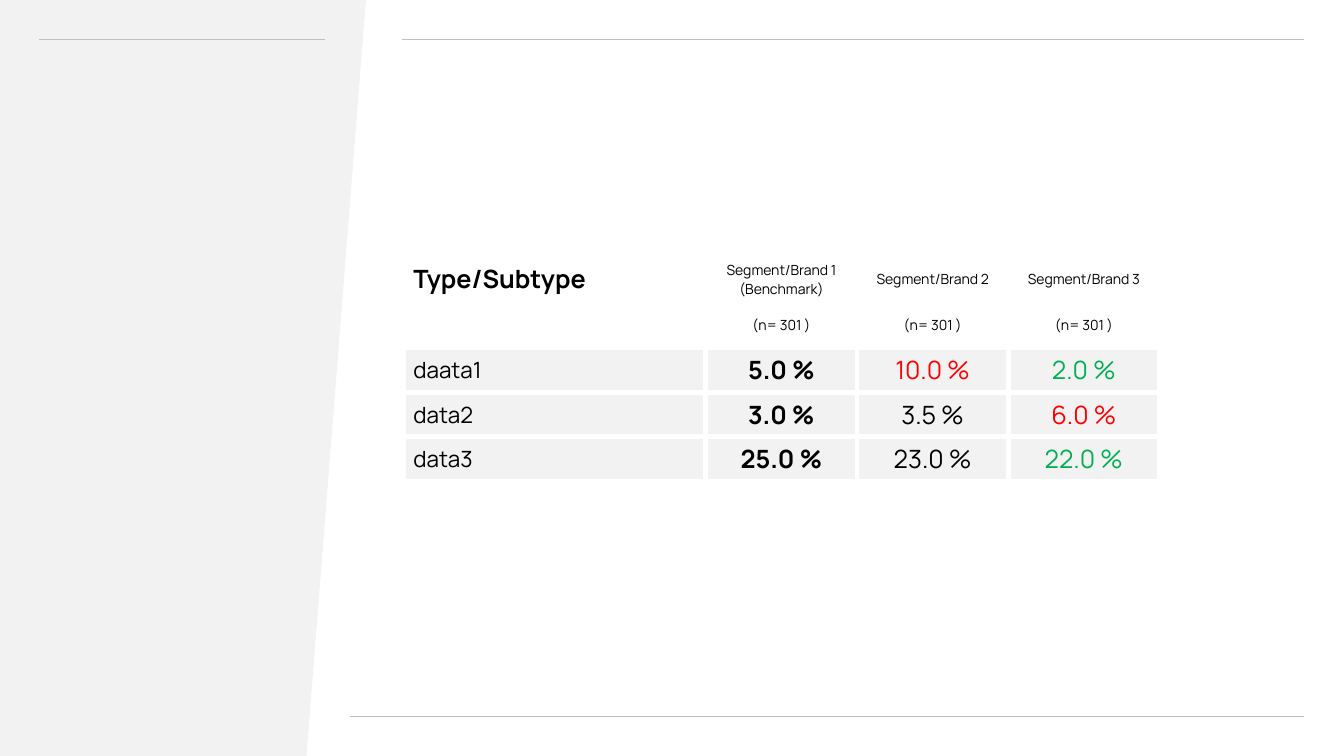
from dataclasses import dataclass

from lxml.etree import SubElement
from pptx import Presentation
from pptx.dml.color import RGBColor
from pptx.enum.shapes import MSO_CONNECTOR
from pptx.enum.text import MSO_ANCHOR, PP_ALIGN
from pptx.oxml.ns import qn
from pptx.util import Pt

PX = 9144  # EMU per px, 100 px to the inch
SLIDE_WIDTH, SLIDE_HEIGHT = 1333, 750


@dataclass(frozen=True)
class Theme:
    font: str = "Manrope"
    text: str = "000000"
    worse: str = "FF0000"
    better: str = "00B050"
    panel: str = "F2F2F2"
    paper: str = "FFFFFF"
    rule: str = "BFBFBF"
    large: int = 18
    label: int = 16
    small: int = 10
    rule_width: float = 0.25
    border_width: int = 4


@dataclass(frozen=True)
class Entry:
    """Wording and look of one table cell."""
    text: str
    size: int
    fill: str
    color: str
    bold: bool = False
    centred: bool = True


class SlideBuilder:
    def __init__(self, slide, theme):
        self.slide = slide
        self.theme = theme

    def polygon(self, points, color):
        start, *others = points
        builder = self.slide.shapes.build_freeform(*start, scale=PX)
        builder.add_line_segments(others, close=True)
        outline = builder.convert_to_shape()
        outline.shadow.inherit = False
        outline.fill.solid()
        outline.fill.fore_color.rgb = RGBColor.from_string(color)
        outline.line.fill.background()

    def horizontal_rule(self, left, right, y):
        rule = self.slide.shapes.add_connector(
            MSO_CONNECTOR.STRAIGHT, left * PX, y * PX, right * PX, y * PX)
        rule.line.color.rgb = RGBColor.from_string(self.theme.rule)
        rule.line.width = Pt(self.theme.rule_width)
        SubElement(rule._element.spPr, qn("a:effectLst"))

    def table(self, left, top, widths, heights, rows):
        table = self.slide.shapes.add_table(
            len(heights), len(widths), left * PX, top * PX,
            sum(widths) * PX, sum(heights) * PX).table
        table.first_row = False
        table.horz_banding = False
        for column, width in zip(table.columns, widths):
            column.width = width * PX
        for row, height, entries in zip(table.rows, heights, rows):
            row.height = height * PX
            for cell, entry in zip(row.cells, entries):
                self.fill_cell(cell, entry)

    def fill_cell(self, cell, entry):
        cell.vertical_anchor = MSO_ANCHOR.MIDDLE
        self.add_borders(cell)
        cell.fill.solid()
        cell.fill.fore_color.rgb = RGBColor.from_string(entry.fill)
        cell.text_frame.text = entry.text
        for paragraph in cell.text_frame.paragraphs:
            paragraph.alignment = PP_ALIGN.CENTER if entry.centred else PP_ALIGN.LEFT
            for run in paragraph.runs:
                run.font.name = self.theme.font
                run.font.size = Pt(entry.size)
                run.font.bold = entry.bold
                run.font.color.rgb = RGBColor.from_string(entry.color)

    def add_borders(self, cell):
        properties = cell._tc.get_or_add_tcPr()
        for side in ("lnL", "lnR", "lnT", "lnB"):
            border = SubElement(properties, qn(f"a:{side}"),
                                w=str(Pt(self.theme.border_width)))
            solid = SubElement(border, qn("a:solidFill"))
            SubElement(solid, qn("a:srgbClr"), val=self.theme.paper)


def comparison_rows(theme):
    """Two heading rows, then one row for each measure."""
    def heading(text):
        return Entry(text, theme.small, theme.paper, theme.text)

    segments = ["Segment/Brand 1\n(Benchmark)", "Segment/Brand 2", "Segment/Brand 3"]
    rows = [
        [Entry("Type/Subtype", theme.large, theme.paper, theme.text, True, False),
         *map(heading, segments)],
        [heading(""), *[heading("(n= 301 )")] * len(segments)],
    ]
    measures = [
        ("daata1", "5.0 %", ("10.0 %", theme.worse), ("2.0 %", theme.better)),
        ("data2", "3.0 %", ("3.5 %", theme.text), ("6.0 %", theme.worse)),
        ("data3", "25.0 %", ("23.0 %", theme.text), ("22.0 %", theme.better)),
    ]
    for name, benchmark, *others in measures:
        rows.append([
            Entry(name, theme.label, theme.panel, theme.text, centred=False),
            Entry(benchmark, theme.large, theme.panel, theme.text, bold=True),
            *[Entry(share, theme.large, theme.panel, color) for share, color in others],
        ])
    return rows


def main():
    presentation = Presentation()
    presentation.slide_width = SLIDE_WIDTH * PX
    presentation.slide_height = SLIDE_HEIGHT * PX
    theme = Theme()
    blank_layout = presentation.slide_layouts[6]
    builder = SlideBuilder(presentation.slides.add_slide(blank_layout), theme)

    builder.polygon([(0, 0), (363, 0), (304, SLIDE_HEIGHT), (0, SLIDE_HEIGHT)],
                    theme.panel)
    for left, right, y in [(347, 1293, 711), (39, 322, 39), (399, 1293, 39)]:
        builder.horizontal_rule(left, right, y)
    builder.table(400, 253, [300] + [150] * 3, [48] + [44] * 4,
                  comparison_rows(theme))
    presentation.save("out.pptx")


if __name__ == "__main__":
    main()
